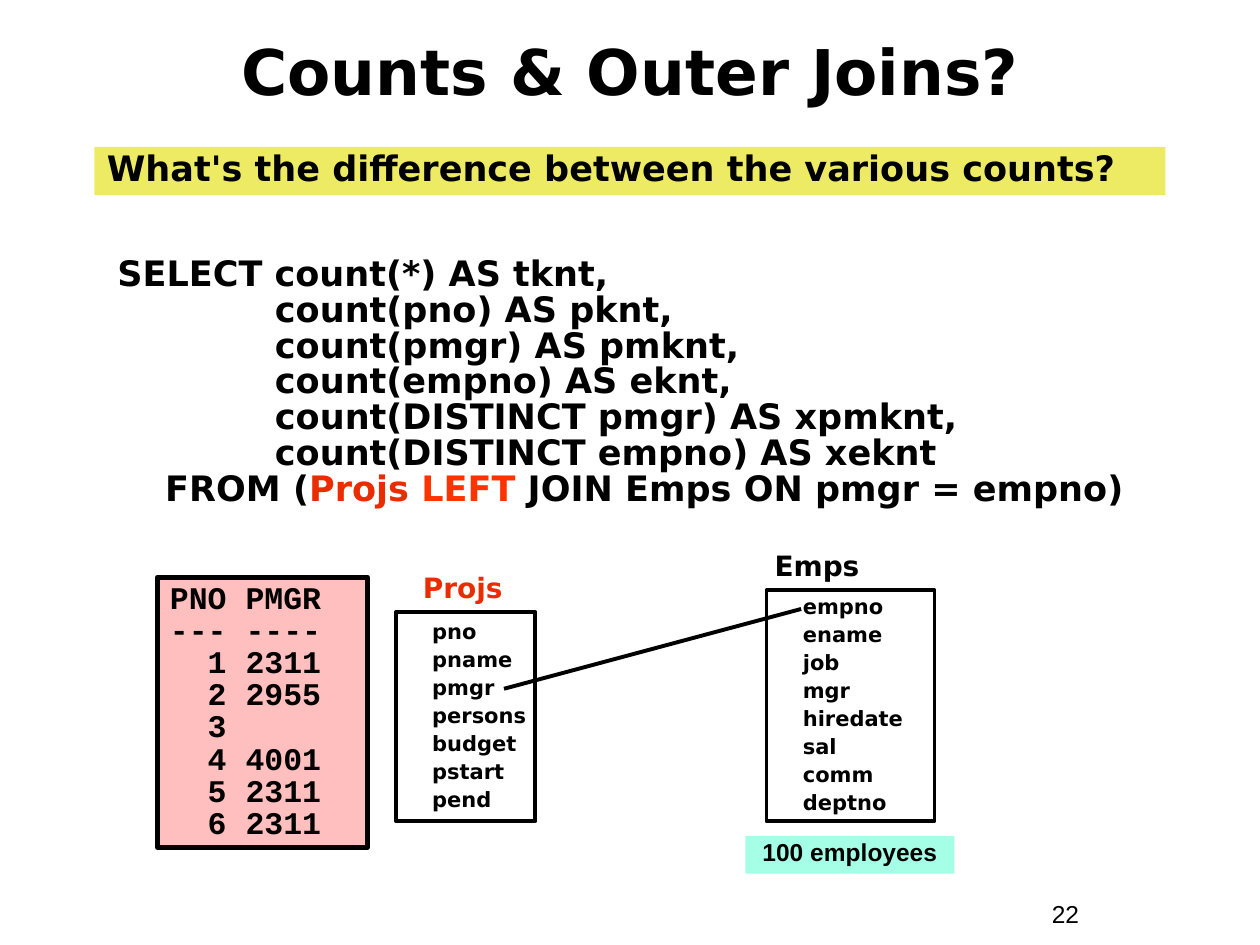
import pptx
import pptx.dml.color
import pptx.enum.shapes
import pptx.enum.text
import pptx.oxml.ns
import pptx.util
import lxml.etree

RGB = pptx.dml.color.RGBColor
BLACK = RGB(0x00, 0x00, 0x00)
RED = RGB(0xEA, 0x2D, 0x00)
BRIGHT = RGB(0xFF, 0x33, 0x00)
YELLOW = RGB(0xED, 0xEA, 0x63)
PINK = RGB(0xFF, 0xBF, 0xBF)
MINT = RGB(0xA5, 0xFF, 0xE7)

LEFT = pptx.enum.text.PP_ALIGN.LEFT
CENTER = pptx.enum.text.PP_ALIGN.CENTER
TOP = pptx.enum.text.MSO_ANCHOR.TOP
MIDDLE = pptx.enum.text.MSO_ANCHOR.MIDDLE

QUERY = """SELECT count(*) AS tknt,
         count(pno) AS pknt,
         count(pmgr) AS pmknt,
         count(empno) AS eknt,
         count(DISTINCT pmgr) AS xpmknt,
         count(DISTINCT empno) AS xeknt
FROM ("""
LISTING = """PNO PMGR
--- ----
  1 2311
  2 2955
  3
  4 4001
  5 2311
  6 2311"""
PROJS = ["pno", "pname", "pmgr", "persons", "budget", "pstart", "pend"]
EMPS = ["empno", "ename", "job", "mgr", "hiredate", "sal", "comm", "deptno"]


class Deck:
    """Draws on a grid of 120 columns by 90 rows, twelve to the inch."""
    face = "DejaVu Sans"
    cell = pptx.util.Inches(1) // 12

    def __init__(self):
        self.file = pptx.Presentation()
        self.file.slide_width = 120 * self.cell
        self.file.slide_height = 90 * self.cell
        self.slide = self.file.slides.add_slide(self.file.slide_layouts[6])

    def grid(self, *spots):
        return [round(spot * self.cell) for spot in spots]

    def letter(self, shape, lines, size, color=BLACK, face=face, bold=True,
               align=LEFT, anchor=TOP, pitch=1.0, gap=0, indent=0, hang=0):
        """Fill a shape with one paragraph per line; indents are in inches."""
        frame = shape.text_frame
        frame.word_wrap = True
        frame.vertical_anchor = anchor
        for count, line in enumerate(lines):
            par = frame.add_paragraph() if count else frame.paragraphs[0]
            par.text = line
            par.alignment = align
            par.line_spacing = pitch
            par.space_before = pptx.util.Pt(gap if count else 0)
            props = par._p.get_or_add_pPr()
            props.set("marL", str(int(pptx.util.Inches(indent + hang))))
            props.set("indent", str(-int(pptx.util.Inches(hang))))
            font = par.font
            font.name, font.size, font.bold = face, pptx.util.Pt(size), bold
            font.color.rgb = color
        return frame

    def text(self, spot, line, size, **style):
        box = self.slide.shapes.add_textbox(*self.grid(*spot))
        return self.letter(box, [line], size, **style)

    def box(self, spot, lines, size, fill=None, width=0, **style):
        kind = pptx.enum.shapes.MSO_SHAPE.RECTANGLE
        shape = self.slide.shapes.add_shape(kind, *self.grid(*spot))
        shape.shadow.inherit = False
        if fill is None:
            shape.fill.background()
        else:
            shape.fill.solid()
            shape.fill.fore_color.rgb = fill
        if width:
            shape.line.color.rgb = BLACK
            shape.line.width = pptx.util.Pt(width)
        else:
            shape.line.fill.background()
        return self.letter(shape, lines, size, **style)

    def fields(self, spot, names):
        """Draw the outlined list of a table's columns."""
        frame = self.box(spot, names, 12, width=2.25, anchor=MIDDLE,
                         pitch=0.9, gap=3, indent=0.19)
        frame.margin_right = 0

    def link(self, *ends):
        kind = pptx.enum.shapes.MSO_CONNECTOR.STRAIGHT
        line = self.slide.shapes.add_connector(kind, *self.grid(*ends))
        line.line.color.rgb = BLACK
        line.line.width = pptx.util.Pt(2.25)
        tag = pptx.oxml.ns.qn("a:effectLst")
        lxml.etree.SubElement(line._element.spPr, tag)


def main():
    deck = Deck()
    deck.text((99, 85, 11, 4), "22", 14, face="Arial", bold=False)
    deck.text((4, 1.2, 112, 11), "Counts & Outer Joins?", 36,
              align=CENTER, anchor=MIDDLE)

    query = deck.text((10, 24, 101, 25), QUERY, 20, pitch=0.85, hang=0.38)
    for words, color in [("Projs ", RED), ("LEFT", BRIGHT),
                         (" JOIN Emps ON pmgr = empno)", BLACK)]:
        run = query.paragraphs[0].add_run()
        run.text = words
        run.font.color.rgb = color

    deck.box((9, 14, 102, 4.6),
             ["What's the difference between the various counts?"], 20,
             fill=YELLOW, pitch=0.85, hang=0.38)
    deck.box((15, 55, 20, 25.7), LISTING.split("\n"), 18, fill=PINK, width=3,
             face="Courier New", pitch=0.85)

    deck.fields((73, 56.2, 16, 22), EMPS)
    deck.text((72.6, 52, 16.3, 4), "Emps", 16, pitch=0.9)
    deck.text((39.1, 54.1, 16.3, 4), "Projs", 16, color=RED, pitch=0.9)
    deck.fields((37.7, 58.3, 13.3, 19.9), PROJS)
    deck.link(76.3, 58, 48, 65.6)
    deck.box((71, 79.6, 19.9, 3.6), ["100 employees"], 14, fill=MINT,
             face="Arial", align=CENTER, pitch=0.85)
    deck.file.save("out.pptx")


if __name__ == "__main__":
    main()
